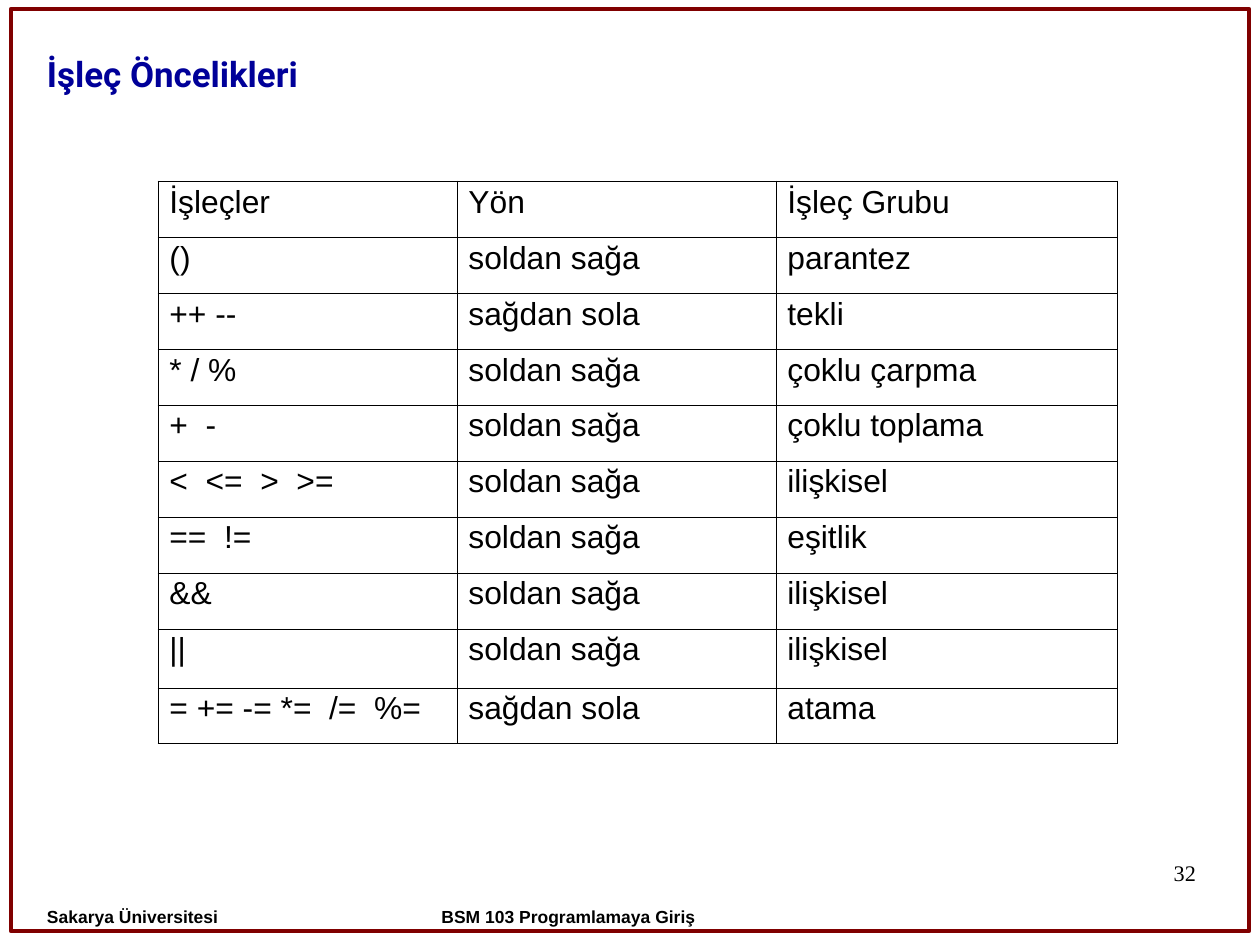
from lxml import etree
from pptx import Presentation
from pptx.dml.color import RGBColor
from pptx.enum.shapes import MSO_SHAPE
from pptx.enum.text import MSO_ANCHOR, MSO_AUTO_SIZE, PP_ALIGN
from pptx.oxml.ns import qn
from pptx.util import Pt

ROUNDED = MSO_SHAPE.ROUNDED_RECTANGLE
TOP, BOTTOM = MSO_ANCHOR.TOP, MSO_ANCHOR.BOTTOM
FIXED_SIZE = MSO_AUTO_SIZE.NONE
LEFT, CENTER, RIGHT = PP_ALIGN.LEFT, PP_ALIGN.CENTER, PP_ALIGN.RIGHT
JUSTIFY = PP_ALIGN.JUSTIFY

EMU_PER_PX = 8000
COLORS = {"frame": "800000", "title": "000099", "ink": "000000"}
OUTER_LINE, INNER_LINE = 0.5, 0.23
FOOTER_INSETS = (25, 21, 25, 0)

COLUMN_WIDTHS = (299, 319, 341)
ROW_HEIGHT, OR_ROW, OR_ROW_HEIGHT = 56, 8, 59
LTR, RTL = "soldan sağa", "sağdan sola"
PRECEDENCE = [
    ("İşleçler", "Yön", "İşleç Grubu"),
    ("()", LTR, "parantez"),
    ("++ --", RTL, "tekli"),
    ("* / %", LTR, "çoklu çarpma"),
    ("+  -", LTR, "çoklu toplama"),
    ("<  <=  >  >=", LTR, "ilişkisel"),
    ("==  !=", LTR, "eşitlik"),
    ("&&", LTR, "ilişkisel"),
    ("||", LTR, "ilişkisel"),
    ("= += -= *=  /=  %=", RTL, "atama"),
]


def px(*lengths):
    return [length * EMU_PER_PX for length in lengths]


def write(frame, text, size, font="Arial", color="ink", bold=False,
          align=LEFT, spacing=1.0, before=0):
    para = frame.paragraphs[0]
    para.alignment = align
    para.line_spacing = spacing
    para.space_before = Pt(before)
    span = para.add_run()
    span.text = text
    span.font.size = Pt(size)
    span.font.name = font
    span.font.bold = bold
    span.font.color.rgb = RGBColor.from_string(COLORS[color])


def add_text(page, area, text, insets=(0, 0, 0, 0), anchor=TOP, **style):
    frame = page.shapes.add_textbox(*px(*area)).text_frame
    frame.word_wrap = True
    frame.auto_size = FIXED_SIZE
    frame.vertical_anchor = anchor
    (frame.margin_left, frame.margin_top,
     frame.margin_right, frame.margin_bottom) = px(*insets)
    write(frame, text, **style)


def add_frame(page, area):
    box = page.shapes.add_shape(ROUNDED, *px(*area))
    box.adjustments[0] = 0
    box.shadow.inherit = False
    box.fill.background()
    box.line.color.rgb = RGBColor.from_string(COLORS["frame"])
    box.line.width = Pt(2.83)


def set_borders(cell, outer_sides):
    properties = cell._tc.get_or_add_tcPr()
    for index, side in enumerate("LRTB"):
        width = OUTER_LINE if side in outer_sides else INNER_LINE
        line = etree.Element(qn(f"a:ln{side}"), w=str(int(Pt(width))))
        fill = etree.SubElement(line, qn("a:solidFill"))
        etree.SubElement(fill, qn("a:srgbClr"), val=COLORS["ink"])
        properties.insert(index, line)


def add_precedence_table(page, left, top):
    row_count, column_count = len(PRECEDENCE), len(COLUMN_WIDTHS)
    heights = [ROW_HEIGHT] * row_count
    heights[OR_ROW] = OR_ROW_HEIGHT
    area = px(left, top, sum(COLUMN_WIDTHS), sum(heights))
    table = page.shapes.add_table(row_count, column_count, *area).table
    table.first_row = table.horz_banding = False
    for column, width in zip(table.columns, px(*COLUMN_WIDTHS)):
        column.width = width
    for row, height in zip(table.rows, px(*heights)):
        row.height = height

    for r, entries in enumerate(PRECEDENCE):
        for c, text in enumerate(entries):
            cell = table.cell(r, c)
            cell.fill.background()
            write(cell.text_frame, text, size=20, spacing=0.93, before=5)
            edges = {"L": c == 0, "R": c == column_count - 1,
                     "T": r == 0, "B": r == row_count - 1}
            set_borders(cell, [side for side in edges if edges[side]])


def main():
    deck = Presentation()
    deck.slide_width, deck.slide_height = px(1260, 945)
    page = deck.slides.add_slide(deck.slide_layouts[6])

    # Page frame, number and title
    add_frame(page, (11, 9, 1238, 922))
    add_text(page, (903, 861, 293, 65), "32", size=14,
             font="Times New Roman", align=RIGHT, spacing=0.95)
    add_text(page, (36, 31, 914, 69), "İşleç Öncelikleri",
             insets=(11, 6, 11, 6), anchor=BOTTOM, size=22, font="Roboto",
             color="title", bold=True, align=JUSTIFY)

    # Footer
    footers = [
        ((22, 887, 270, 62), "Sakarya Üniversitesi", LEFT),
        ((355, 887, 427, 58), "BSM 103 Programlamaya Giriş", CENTER),
    ]
    for area, text, align in footers:
        add_text(page, area, text, insets=FOOTER_INSETS, size=11,
                 bold=True, align=align, spacing=0.93)

    # Operator precedence
    add_precedence_table(page, 158, 181)
    deck.save("out.pptx")


if __name__ == "__main__":
    main()
